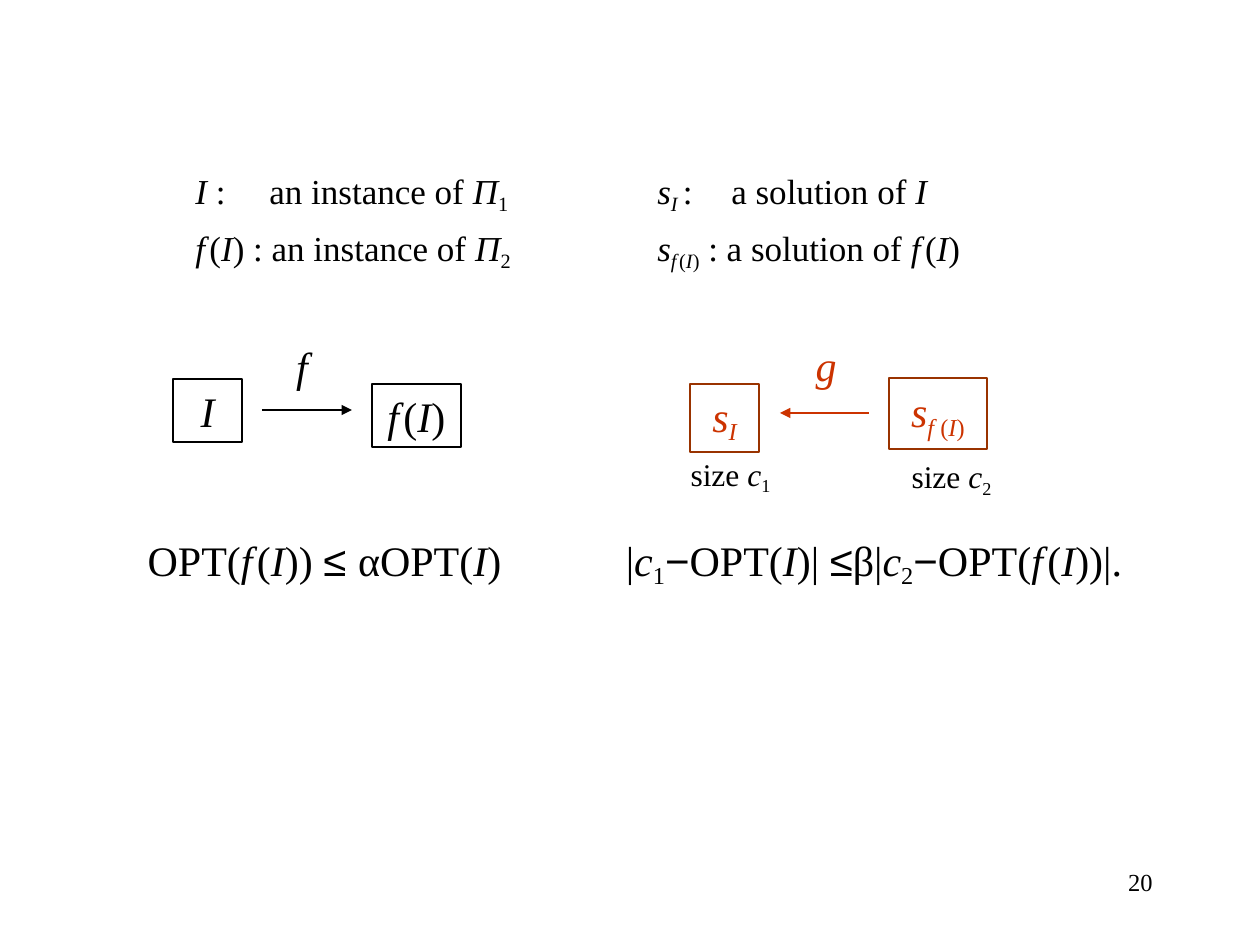
from dataclasses import dataclass

from lxml import etree
from pptx import Presentation
from pptx.dml.color import RGBColor
from pptx.enum.shapes import MSO_CONNECTOR, MSO_SHAPE
from pptx.enum.text import PP_ALIGN
from pptx.oxml.ns import qn
from pptx.util import Emu, Pt

RECTANGLE = MSO_SHAPE.RECTANGLE
STRAIGHT = MSO_CONNECTOR.STRAIGHT
LEFT, CENTER, RIGHT = PP_ALIGN.LEFT, PP_ALIGN.CENTER, PP_ALIGN.RIGHT
PX_PER_INCH = 126


@dataclass(frozen=True)
class Theme:
    font: str = "Times New Roman"
    symbol_font: str = "Arial"
    black: str = "000000"
    red: str = "CC3300"
    brown: str = "993300"
    formula: int = 24
    definition: int = 20
    label: int = 18
    page: int = 14
    thin_gap: int = 10
    line: float = 0.75


THEME = Theme()

# A piece of text is (text, style letters):
# i italic, s subscript, t thin gap, a symbol font
F_OF_I = [("f", "i"), (" ", "it"), ("(", ""), ("I", "i"), (")", "")]
SUB_F_OF_I = [(text, style + "s") for text, style in F_OF_I]


def px(length):
    return Emu(round(length * 914400 / PX_PER_INCH))


def color(value):
    return RGBColor.from_string(value)


def fill_paragraph(paragraph, pieces, size, ink, align):
    paragraph.alignment = align
    for text, style in pieces:
        run = paragraph.add_run()
        run.text = text
        font = run.font
        font.name = THEME.symbol_font if "a" in style else THEME.font
        font.size = Pt(THEME.thin_gap if "t" in style else size)
        font.italic = "i" in style
        font.color.rgb = color(ink)
        if "s" in style:
            font._element.set("baseline", "-20000")


def add_text(slide, box, pieces, size, ink=THEME.black, align=CENTER):
    shape = slide.shapes.add_textbox(*map(px, box))
    shape.text_frame.word_wrap = True
    fill_paragraph(shape.text_frame.paragraphs[0], pieces, size, ink, align)


def add_definitions(slide, box, lines, tab):
    """Two spaced lines whose explanations start at a tab stop."""
    frame = slide.shapes.add_textbox(*map(px, box)).text_frame
    frame.word_wrap = True
    for index, pieces in enumerate(lines):
        paragraph = frame.add_paragraph() if index else frame.paragraphs[0]
        paragraph.line_spacing = 0.75
        if index:
            paragraph.space_before = Pt(12.5)
        properties = paragraph._p.get_or_add_pPr()
        tabs = etree.SubElement(properties, qn("a:tabLst"))
        etree.SubElement(tabs, qn("a:tab"), pos=str(px(tab)), algn="l")
        fill_paragraph(paragraph, pieces, THEME.definition, THEME.black, LEFT)


def add_node(slide, box, pieces, ink, border):
    shape = slide.shapes.add_shape(RECTANGLE, *map(px, box))
    shape.shadow.inherit = False
    shape.fill.background()
    shape.line.color.rgb = color(border)
    shape.line.width = Pt(THEME.line)
    shape.text_frame.word_wrap = True
    fill_paragraph(shape.text_frame.paragraphs[0], pieces, THEME.formula, ink, CENTER)


def add_arrow(slide, start, end, y, ink):
    arrow = slide.shapes.add_connector(STRAIGHT, px(start), px(y), px(end), px(y))
    arrow.line.color.rgb = color(ink)
    arrow.line.width = Pt(THEME.line)
    etree.SubElement(arrow.line._get_or_add_ln(), qn("a:tailEnd"), type="triangle")
    etree.SubElement(arrow._element.spPr, qn("a:effectLst"))


def main():
    presentation = Presentation()
    presentation.slide_width, presentation.slide_height = px(1260), px(945)
    slide = presentation.slides.add_slide(presentation.slide_layouts[6])

    # Definitions of instances and solutions
    add_definitions(slide, (183, 171, 466, 103), [
        [("I ", "i"), (":\tan instance of ", ""), ("Π", "i"), ("1", "s")],
        F_OF_I + [(" : an instance of ", ""), ("Π", "i"), ("2", "s")],
    ], tab=74)
    add_definitions(slide, (645, 171, 466, 103), [
        [("s", "i"), ("I ", "is"), (":\ta solution of ", ""), ("I", "i")],
        [("s", "i")] + SUB_F_OF_I + [(" : a solution of ", "")] + F_OF_I,
    ], tab=74)

    # Instance mapping f
    add_node(slide, (173, 379, 69, 63), [("I", "i")], THEME.black, THEME.black)
    add_node(slide, (372, 384, 89, 63), F_OF_I, THEME.black, THEME.black)
    add_arrow(slide, 262, 352, 410, THEME.black)
    add_text(slide, (242, 334, 120, 63), [("f", "i")], THEME.formula)

    # Solution mapping g
    add_node(slide, (690, 384, 69, 68), [("s", "i"), ("I", "is")],
             THEME.red, THEME.brown)
    add_node(slide, (889, 378, 98, 71),
             [("s", "i"), ("f ", "is"), ("(", "s"), ("I", "is"), (")", "s")],
             THEME.red, THEME.brown)
    add_arrow(slide, 869, 780, 413, THEME.red)
    add_text(slide, (766, 333, 120, 63), [("g", "i")], THEME.formula, THEME.red)

    # Solution sizes
    for number, left, top in (("1", 651, 449), ("2", 872, 451)):
        add_text(slide, (left, top, 159, 54),
                 [("size ", ""), ("c", "i"), (number, "s")], THEME.label)

    # Inequalities
    add_text(slide, (57, 528, 535, 63),
             [("OPT(", "")] + F_OF_I
             + [(") ", ""), ("≤ ", "a"), ("αOPT(", ""), ("I", "i"), (")", "")],
             THEME.formula)
    add_text(slide, (581, 528, 586, 68),
             [("|", ""), ("c", "i"), ("1", "s"), ("−", "a"), ("OPT(", ""),
              ("I", "i"), (")| ", ""), ("≤", "a"), ("β|", ""), ("c", "i"),
              ("2", "s"), ("−", "a"), ("OPT(", "")] + F_OF_I + [(")|.", "")],
             THEME.formula)

    # Page number
    add_text(slide, (903, 861, 262, 63), [("20", "")], THEME.page, align=RIGHT)

    presentation.save("out.pptx")


if __name__ == "__main__":
    main()
